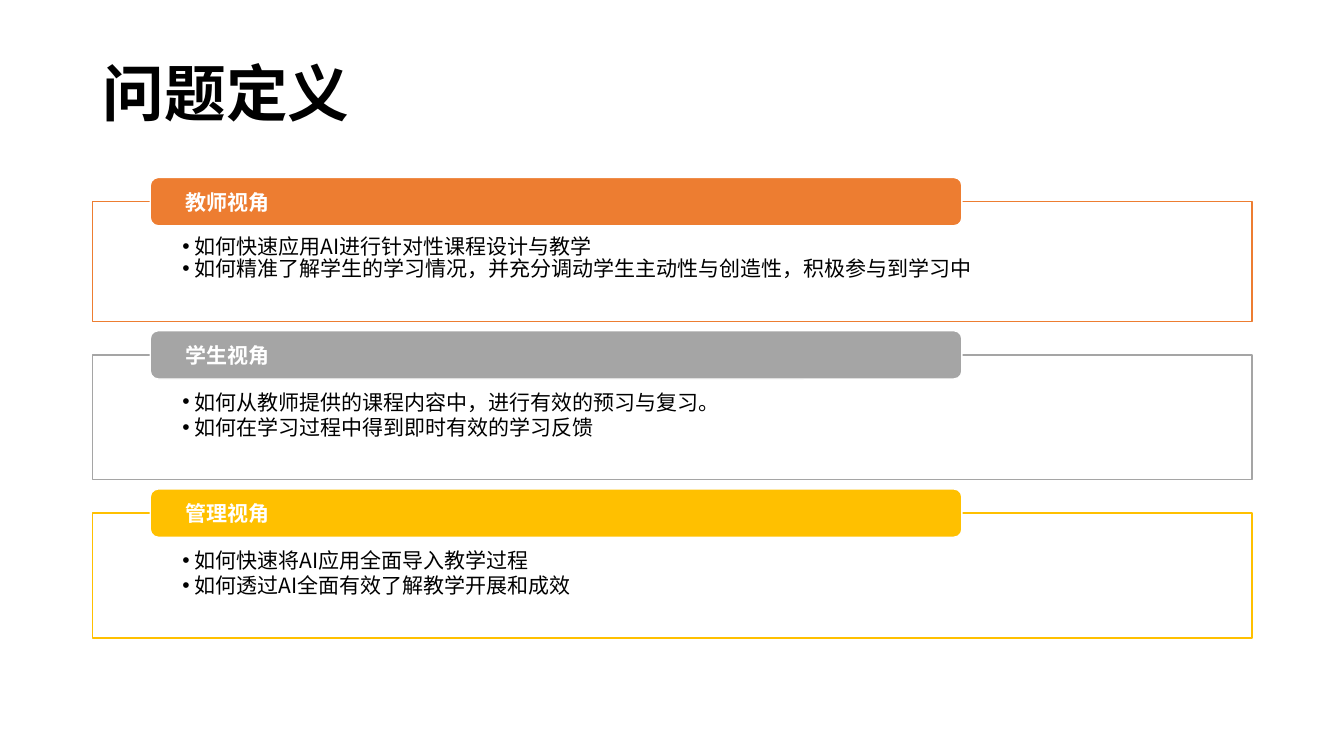
from pptx import Presentation
from pptx.dml.color import RGBColor as Rgb
from pptx.enum.shapes import MSO_SHAPE as Kind
from pptx.enum.text import MSO_ANCHOR as Anchor, MSO_AUTO_SIZE as Fit, PP_ALIGN as Align
from pptx.oxml.ns import qn
from pptx.util import Inches, Pt
from lxml.etree import SubElement as Sub

WIDE, HIGH = Inches(13.33), Inches(7.5)

THEME = {
    "font": "Noto Sans CJK SC",
    "ink": Rgb(0, 0, 0),
    "paper": Rgb(255, 255, 255),
    "title": Pt(44),
    "body": Pt(15),
}

# Places, in percent of the slide's width and height
LEFT, SPAN = 6.9, 86.25
TOP, GAP = 26.67, 4.4
TAB_X, TAB_W, TAB_H, LIFT = 11.18, 60.39, 6.4, 3.2

# Heading, colour, height, line spacing, questions
PANELS = [
    ("教师视角", "ED7D31", 15.87, 0.9,
     ["如何快速应用AI进行针对性课程设计与教学",
      "如何精准了解学生的学习情况，并充分调动学生主动性与创造性，积极参与到学习中"]),
    ("学生视角", "A5A5A5", 16.53, 1.0,
     ["如何从教师提供的课程内容中，进行有效的预习与复习。",
      "如何在学习过程中得到即时有效的学习反馈"]),
    ("管理视角", "FFC000", 16.53, 1.0,
     ["如何快速将AI应用全面导入教学过程",
      "如何透过AI全面有效了解教学开展和成效"]),
]


def apply(item, form):
    for name, value in form.items():
        setattr(item, name, value)


def place(shape, x, y, w, h):
    apply(shape, {"left": int(WIDE * x / 100), "top": int(HIGH * y / 100),
                  "width": int(WIDE * w / 100), "height": int(HIGH * h / 100)})


def paint(shape, fill, line):
    shape.fill.solid()
    shape.fill.fore_color.rgb = fill
    shape.line.color.rgb = line
    shape.line.width = Pt(1)


def frame(shape, anchor, sides, top=0.0, bottom=0.0):
    text = shape.text_frame
    apply(text, {"auto_size": Fit.NONE, "word_wrap": True, "vertical_anchor": anchor,
                 "margin_left": Inches(sides), "margin_right": Inches(sides),
                 "margin_top": Inches(top), "margin_bottom": Inches(bottom)})
    return text


def write(para, words, size, color, bold, space=1.0):
    apply(para, {"alignment": Align.LEFT, "line_spacing": space,
                 "space_before": Pt(0), "space_after": Pt(0)})
    run = para.add_run()
    run.text = words
    apply(run.font, {"name": THEME["font"], "size": size, "bold": bold})
    run.font.color.rgb = color
    Sub(run.font._element, qn("a:ea"), typeface=THEME["font"])


def bullet(para):
    props = para._p.get_or_add_pPr()
    props.set("marL", str(Inches(0.12)))
    props.set("indent", str(-Inches(0.12)))
    Sub(props, qn("a:buFont"), typeface="Arial")
    Sub(props, qn("a:buChar"), char="•")


def head(slide, words):
    title = slide.shapes.title
    place(title, LEFT, 4.53, SPAN, 16.53)
    text = frame(title, Anchor.MIDDLE, 0.1, 0.05, 0.05)
    write(text.paragraphs[0], words, THEME["title"], THEME["ink"], True, 0.9)


def panel(box, y, high, color, space, items):
    place(box, LEFT, y, SPAN, high)
    paint(box, THEME["paper"], color)
    tint = box._element.spPr.find(qn("a:solidFill"))[0]
    Sub(tint, qn("a:alpha"), val="90000")
    text = frame(box, Anchor.TOP, 0.89, 0.34, 0.12)
    for i, item in enumerate(items):
        para = text.add_paragraph() if i else text.paragraphs[0]
        write(para, item, THEME["body"], THEME["ink"], False, space)
        bullet(para)


def tab(slide, y, color, words):
    shape = slide.shapes.add_shape(Kind.ROUNDED_RECTANGLE, 0, 0, 0, 0)
    place(shape, TAB_X, y, TAB_W, TAB_H)
    shape.shadow.inherit = False
    paint(shape, color, THEME["paper"])
    text = frame(shape, Anchor.MIDDLE, 0.33)
    write(text.paragraphs[0], words, THEME["body"], THEME["paper"], True)


def main():
    deck = Presentation()
    apply(deck, {"slide_width": WIDE, "slide_height": HIGH})
    slide = deck.slides.add_slide(deck.slide_layouts.get_by_name("Comparison"))
    head(slide, "问题定义")

    # One body placeholder per panel; the spare one goes
    *bodies, spare = list(slide.placeholders)[1:]
    spare._element.getparent().remove(spare._element)

    # Panels stacked with equal gaps, each with a tab on its top edge
    y = TOP
    for box, (name, code, high, space, items) in zip(bodies, PANELS):
        color = Rgb.from_string(code)
        panel(box, y, high, color, space, items)
        tab(slide, y - LIFT, color, name)
        y += high + GAP

    deck.save("out.pptx")


if __name__ == "__main__":
    main()
